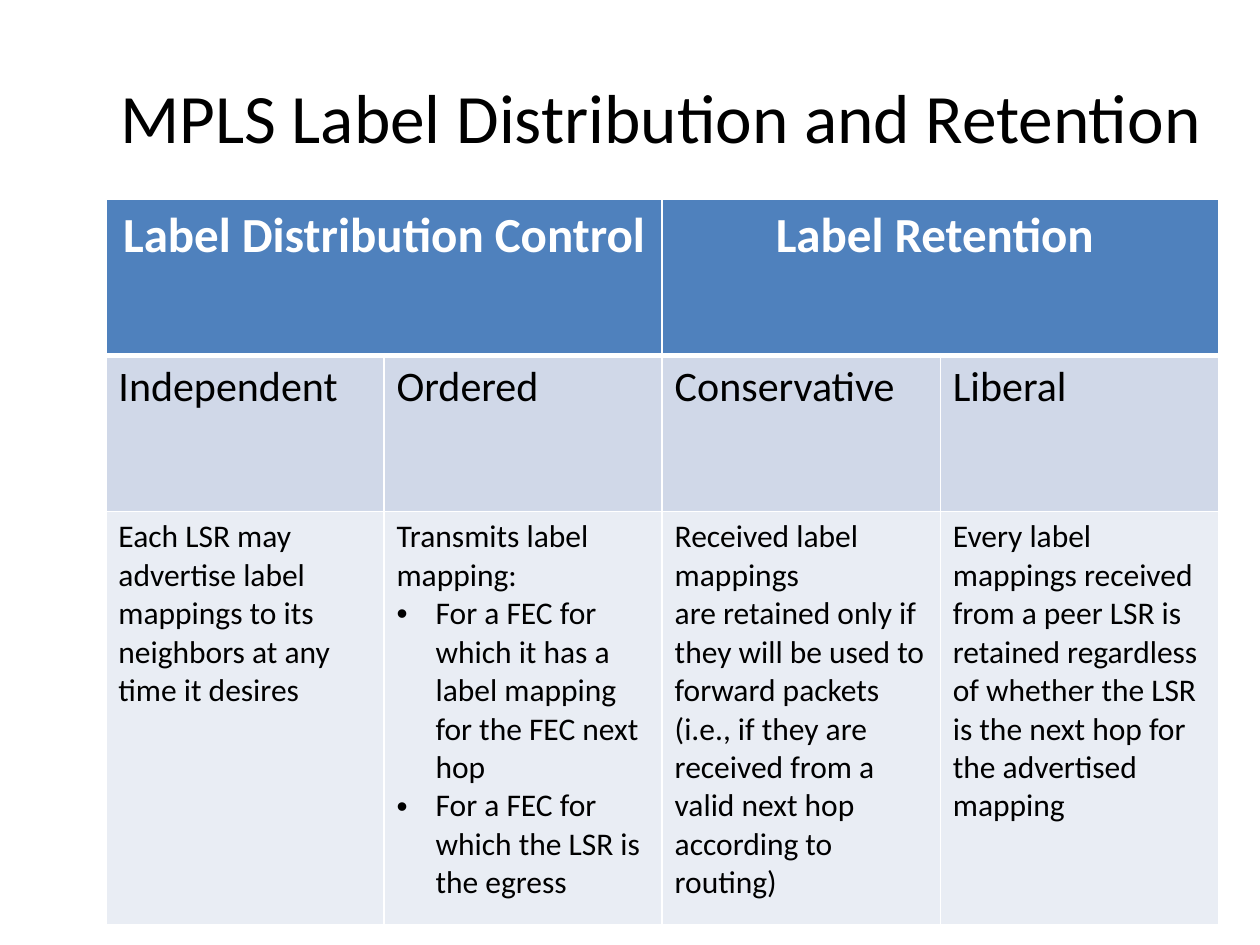
"""Build a slide that compares MPLS label distribution and retention modes."""
from pptx import Presentation
from pptx import util as u
from pptx.dml.color import RGBColor
from pptx.enum import text
from pptx.oxml import parse_xml
from pptx.oxml.ns import nsdecls

HEADERS = ["Label Distribution Control", "Label Retention "]
MODES = ["Independent", "Ordered", "Conservative", "Liberal"]
DETAILS = [
    ["Each LSR may advertise label",
     "mappings to its neighbors at any time it desires"],
    ["Transmits label mapping:",
     "• For a FEC for which it has a label mapping for the FEC next hop",
     "• For a FEC for which the LSR is the egress"],
    ["Received label mappings",
     "are retained only if they will be used to forward packets (i.e., if "
     "they are received from a valid next hop according to routing)"],
    ["Every label mappings received from a peer LSR is retained regardless "
     "of whether the LSR is the next hop for the advertised mapping"],
]


def rgb(value):
    return RGBColor.from_string(value)


class Deck:
    font = "Calibri"
    dark, light = "000000", "FFFFFF"
    header, mode, detail = "4F81BD", "D0D8E8", "E9EDF4"

    def __init__(self, prs):
        self.s = prs.slides.add_slide(prs.slide_layouts[5])

    def run(self, p, words, size, color, bold=False):
        r = p.add_run()
        r.text = words
        r.font.name, r.font.size, r.font.bold = self.font, u.Pt(size), bold
        r.font.color.rgb = rgb(color)

    def title(self, words, left, top, width, height):
        sp = self.s.shapes.title
        sp.left, sp.top = u.Inches(left), u.Inches(top)
        sp.width, sp.height = u.Inches(width), u.Inches(height)
        tf = sp.text_frame
        tf.auto_size = text.MSO_AUTO_SIZE.NONE
        tf.vertical_anchor = text.MSO_ANCHOR.MIDDLE
        self.run(tf.paragraphs[0], words, 39.6, self.dark)

    def table(self, left, top, width, heights, columns):
        frame = self.s.shapes.add_table(
            len(heights), columns, u.Inches(left), u.Inches(top),
            u.Inches(width), u.Inches(sum(heights)))
        for row, height in zip(frame.table.rows, heights):
            row.height = u.Inches(height)
        return frame.table

    def borders(self, cell, top=1, bottom=1):
        tc_pr = cell._tc.get_or_add_tcPr()
        for side, width in zip("LRTB", (1, 1, top, bottom)):
            tc_pr.append(parse_xml(
                f'<a:ln{side} {nsdecls("a")} w="{u.Pt(width)}"><a:solidFill>'
                f'<a:srgbClr val="{self.light}"/></a:solidFill></a:ln{side}>'))

    def bullet(self, p):
        p_pr = p._p.get_or_add_pPr()
        indent = u.Inches(0.31)
        p_pr.set("marL", str(indent))
        p_pr.set("indent", str(-indent))
        p_pr.append(parse_xml(f'<a:buFont {nsdecls("a")} typeface="Arial"/>'))
        p_pr.append(parse_xml(f'<a:buChar {nsdecls("a")} char="•"/>'))

    def cell(self, cell, lines, size, fill, color=dark, bold=False, align=None):
        cell.fill.solid()
        cell.fill.fore_color.rgb = rgb(fill)
        tf = cell.text_frame
        for i, line in enumerate(lines):
            p = tf.add_paragraph() if i else tf.paragraphs[0]
            p.alignment = align
            if line.startswith("• "):
                self.bullet(p)
            self.run(p, line.removeprefix("• "), size, color, bold)


def main():
    prs = Presentation()
    prs.slide_width, prs.slide_height = u.Inches(10), u.Inches(7.5)
    deck = Deck(prs)
    deck.title("MPLS Label Distribution and Retention", 0.83, 0.29, 8.83, 1.25)
    table = deck.table(0.84, 1.58, 8.83, [1.24, 1.24, 3.28], len(MODES))
    for col, (mode, detail) in enumerate(zip(MODES, DETAILS)):
        deck.borders(table.cell(0, col), bottom=3)
        deck.borders(table.cell(1, col), top=3)
        deck.borders(table.cell(2, col))
        deck.cell(table.cell(1, col), [mode], 24, deck.mode)
        deck.cell(table.cell(2, col), detail, 18, deck.detail)
    for i, header in enumerate(HEADERS):
        cell = table.cell(0, 2 * i)
        cell.merge(table.cell(0, 2 * i + 1))
        deck.cell(cell, [header], 28, deck.header, deck.light, True,
                  text.PP_ALIGN.CENTER)
    prs.save("out.pptx")


if __name__ == "__main__":
    main()
